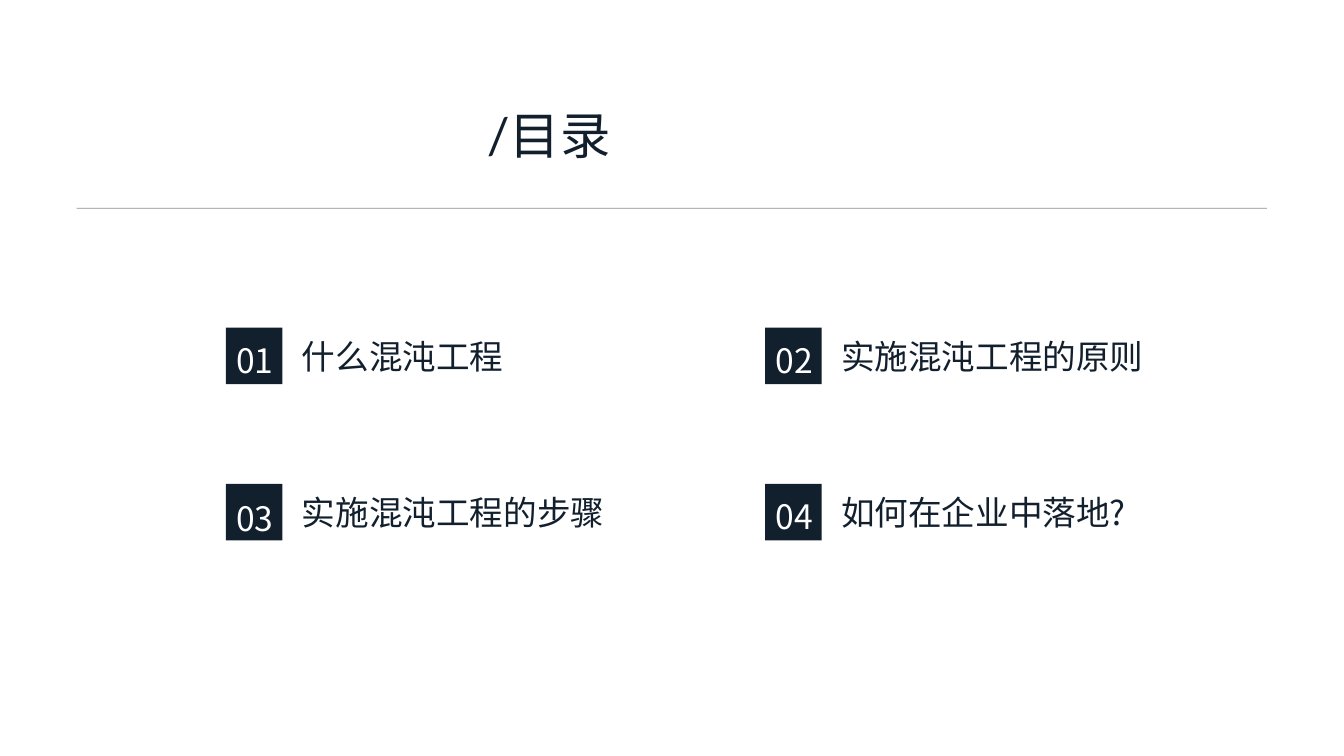
from dataclasses import dataclass

from lxml.etree import SubElement
from pptx import Presentation
from pptx.dml.color import RGBColor
from pptx.enum.shapes import MSO_SHAPE
from pptx.enum.text import MSO_ANCHOR, MSO_AUTO_SIZE, PP_ALIGN
from pptx.oxml.ns import qn
from pptx.util import Pt


@dataclass(frozen=True)
class Theme:
    navy: RGBColor = RGBColor(0x12, 0x20, 0x2E)
    white: RGBColor = RGBColor(0xFF, 0xFF, 0xFF)
    title_font: str = "Lato"
    text_font: str = "Noto Sans CJK SC"
    title_size: int = 36
    item_size: int = 24


class AgendaPage:
    def __init__(self, deck, theme):
        self.theme = theme
        self.page = deck.slides.add_slide(deck.slide_layouts[5])

    def fill_text(self, box, text, font, size, color, spacing, align=PP_ALIGN.LEFT, left=0, before=0):
        frame = box.text_frame
        frame.word_wrap = True
        frame.auto_size = MSO_AUTO_SIZE.NONE
        frame.vertical_anchor = MSO_ANCHOR.TOP
        frame.margin_left, frame.margin_right = Pt(left), Pt(7.2)
        frame.margin_top = frame.margin_bottom = Pt(3.6)
        para = frame.paragraphs[0]
        para.text = text
        para.alignment = align
        para.line_spacing = spacing
        para.space_before = Pt(before)
        para.font.name = font
        para.font.size = Pt(size)
        para.font.color.rgb = color

    def title(self, text, left, top, width, height):
        box = self.page.shapes.title
        box.left, box.top, box.width, box.height = Pt(left), Pt(top), Pt(width), Pt(height)
        theme = self.theme
        self.fill_text(box, text, theme.title_font, theme.title_size, theme.navy, 0.83)

    def block(self, left, top, width, height, opacity=100):
        shape = self.page.shapes.add_shape(
            MSO_SHAPE.RECTANGLE, Pt(left), Pt(top), Pt(width), Pt(height))
        shape.shadow.inherit = False
        shape.fill.solid()
        shape.fill.fore_color.rgb = self.theme.navy
        shape.line.fill.background()
        if opacity < 100:
            color = shape.element.spPr.find(qn("a:solidFill"))[0]
            SubElement(color, qn("a:alpha")).set("val", str(opacity * 1000))

    def number(self, text, left, top):
        box = self.page.shapes.add_textbox(Pt(left), Pt(top), Pt(54.7), Pt(27.4))
        theme = self.theme
        self.fill_text(box, text, theme.text_font, theme.item_size, theme.white, 1.01,
                       PP_ALIGN.CENTER, left=7.2)

    def label(self, text, left, top):
        box = self.page.shapes.add_textbox(Pt(left), Pt(top), Pt(249.8), Pt(29.5))
        theme = self.theme
        self.fill_text(box, text, theme.text_font, theme.item_size, theme.navy, 0.9, before=10)

    def item(self, number, text, left, top, number_drop):
        self.block(left, top, 40.4, 40.4)
        self.number(number, left - 6.5, top + number_drop)
        self.label(text, left + 54.4, top + 5.4)


def main():
    deck = Presentation()
    deck.slide_width, deck.slide_height = Pt(960), Pt(540)
    agenda = AgendaPage(deck, Theme())
    agenda.title("/目录", 347.8, 77.8, 107.3, 39.6)
    agenda.block(54.7, 148.4, 850.3, 0.6, opacity=50)
    items = [
        ("什么混沌工程", 5),
        ("实施混沌工程的原则", 5),
        ("实施混沌工程的步骤", 6.5),
        ("如何在企业中落地?", 5),
    ]
    for index, (text, number_drop) in enumerate(items):
        row, column = divmod(index, 2)
        agenda.item(f"{index + 1:02}", text, 161.3 + column * 385.2, 234 + row * 111.6, number_drop)
    deck.save("out.pptx")


if __name__ == "__main__":
    main()
